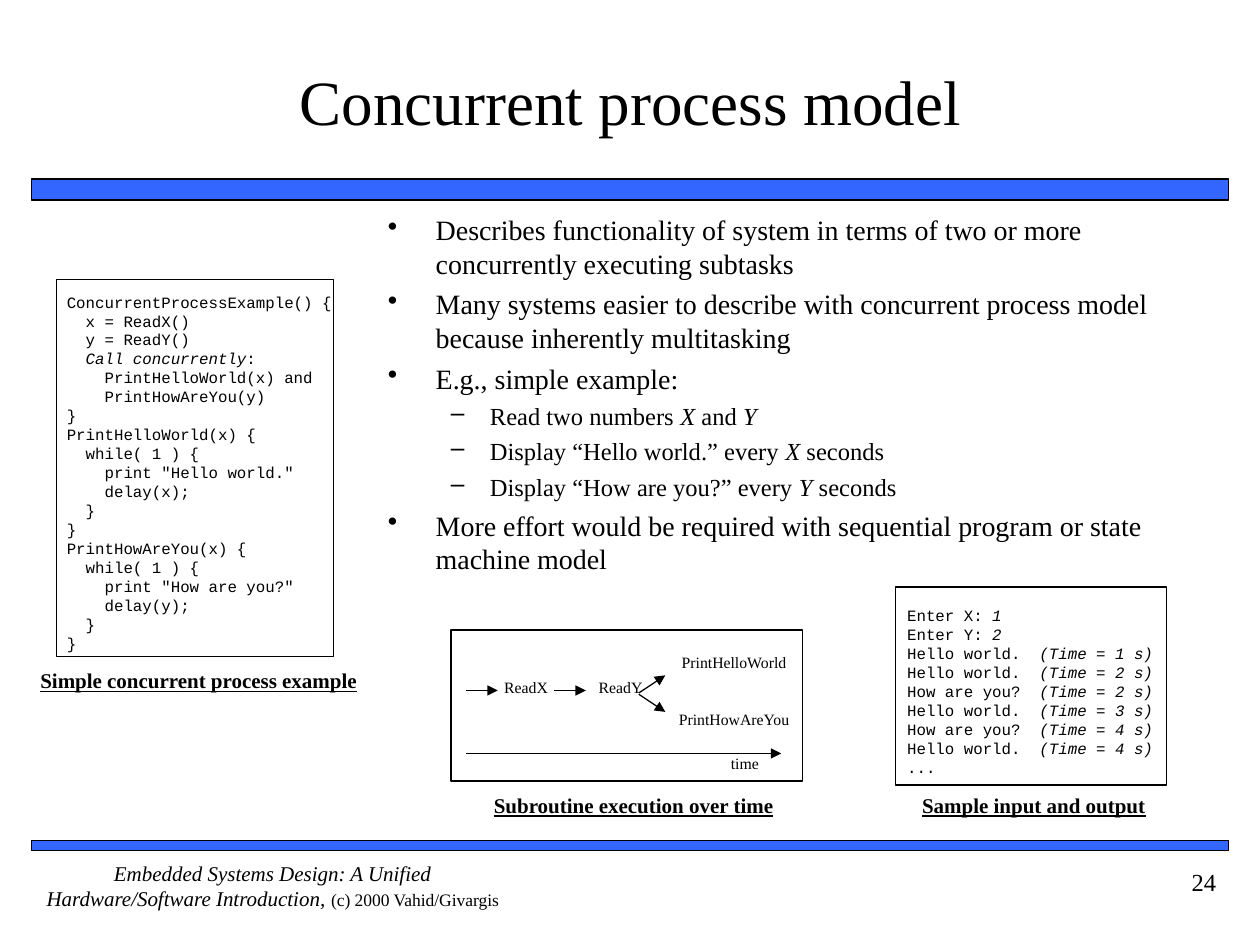
from lxml import etree
from pptx import Presentation
from pptx import util as u
from pptx.dml.color import RGBColor
from pptx.enum import shapes, text
from pptx.oxml.ns import qn

SERIF, MONO = "Times New Roman", "Courier New"
BLACK, BLUE = "000000", "3366FF"
LEFT, CENTER, RIGHT = text.PP_ALIGN.LEFT, text.PP_ALIGN.CENTER, text.PP_ALIGN.RIGHT

TITLE = "Concurrent process model"
BULLETS = [
    (0, "Describes functionality of system in terms of two or more concurrently executing subtasks"),
    (0, "Many systems easier to describe with concurrent process model because inherently multitasking"),
    (0, "E.g., simple example:"),
    (1, "Read two numbers *X* and *Y*"),
    (1, "Display “Hello world.” every *X* seconds"),
    (1, "Display “How are you?” every *Y* seconds"),
    (0, "More effort would be required with sequential program or state machine model"),
]
LEVELS = [
    {"size": 16, "bullet": "•", "margin": 0.38, "hang": 0.38, "before": 4},
    {"size": 14, "bullet": "–", "margin": 0.81, "hang": 0.31, "before": 3.5},
]
CODE = """ConcurrentProcessExample() {
  x = ReadX()
  y = ReadY()
  *Call concurrently*:
    PrintHelloWorld(x) and
    PrintHowAreYou(y)
}
PrintHelloWorld(x) {
  while( 1 ) {
    print "Hello world."
    delay(x);
  }
}
PrintHowAreYou(x) {
  while( 1 ) {
    print "How are you?"
    delay(y);
  }
}"""
SAMPLE = """Enter X: *1*
Enter Y: *2*
Hello world.  *(Time = 1 s)*
Hello world.  *(Time = 2 s)*
How are you?  *(Time = 2 s)*
Hello world.  *(Time = 3 s)*
How are you?  *(Time = 4 s)*
Hello world.  *(Time = 4 s)*
..."""
FOOTER = [("*Embedded Systems Design: A Unified Hardware/Software Introduction, *", 12),
          ("(c) 2000 Vahid/Givargis", 10)]
BARS = [(0.25, 1.42, 9.5, 0.17), (0.25, 6.67, 9.5, 0.08)]
FRAMES = [(3.58, 5, 2.79, 1.2), (0.45, 2.22, 2.2, 2.99), (7.11, 4.66, 2.15, 1.57)]
LISTINGS = [(CODE, (0.53, 2.32, 2.18, 2.73)), (SAMPLE, (7.2, 4.81, 2, 1.4))]
CAPTIONS = [
    ("Subroutine execution over time", (3.81, 6.29, 2.44, 0.25), CENTER),
    ("Simple concurrent process example", (0.32, 5.3, 2.56, 0.12), LEFT),
    ("Sample input and output", (7.3, 6.29, 1.81, 0.17), CENTER),
]
STEPS = [
    ("time", (5.8, 5.98, 0.35, 0.2), LEFT),
    ("ReadX", (3.95, 5.38, 0.45, 0.2), CENTER),
    ("ReadY", (4.7, 5.38, 0.45, 0.2), CENTER),
    ("PrintHelloWorld", (5.25, 5.18, 1.15, 0.2), CENTER),
    ("PrintHowAreYou", (5.25, 5.63, 1.15, 0.2), CENTER),
]
ARROWS = [
    (3.7, 5.98, 6.2, 5.98),
    (3.7, 5.48, 3.95, 5.48),
    (4.4, 5.48, 4.65, 5.48),
    (5.07, 5.51, 5.28, 5.65),
    (5.07, 5.5, 5.28, 5.36),
]

presentation = Presentation()
presentation.slide_width, presentation.slide_height = u.Inches(10), u.Inches(7.5)
slide = presentation.slides.add_slide(presentation.slide_layouts[6])


def inches(lengths):
    return [u.Inches(length) for length in lengths]


def color(value):
    return RGBColor.from_string(value)


def add_runs(paragraph, content, size=12, font=SERIF, bold=False, underline=False):
    for index, part in enumerate(content.split("*")):
        if part:
            run = paragraph.add_run()
            run.text = part
            run.font.size, run.font.name = u.Pt(size), font
            run.font.bold, run.font.underline = bold, underline
            run.font.italic = index % 2 == 1
            run.font.color.rgb = color(BLACK)


def add_box(place, insets=(0, 0), anchor=text.MSO_ANCHOR.TOP):
    frame = slide.shapes.add_textbox(*inches(place)).text_frame
    frame.word_wrap, frame.vertical_anchor = True, anchor
    frame.margin_left = frame.margin_right = u.Inches(insets[0])
    frame.margin_top = frame.margin_bottom = u.Inches(insets[1])
    return frame


def add_text(content, place, align=LEFT, insets=(0, 0), anchor=text.MSO_ANCHOR.TOP, **style):
    frame = add_box(place, insets, anchor)
    for index, line in enumerate(content.split("\n")):
        paragraph = frame.add_paragraph() if index else frame.paragraphs[0]
        paragraph.alignment = align
        add_runs(paragraph, line, **style)


def add_bullets(items, place):
    frame = add_box(place, (0.1, 0.05))
    for index, (level, content) in enumerate(items):
        style = LEVELS[level]
        paragraph = frame.add_paragraph() if index else frame.paragraphs[0]
        paragraph.level = level
        properties = paragraph._p.get_or_add_pPr()
        properties.set("marL", str(u.Inches(style["margin"])))
        properties.set("indent", str(-u.Inches(style["hang"])))
        etree.SubElement(properties, qn("a:buChar")).set("char", style["bullet"])
        if index:
            paragraph.space_before = u.Pt(style["before"])
        add_runs(paragraph, content, size=style["size"])


def add_rectangle(place, fill=None, width=0.75):
    shape = slide.shapes.add_shape(shapes.MSO_SHAPE.RECTANGLE, *inches(place))
    shape.shadow.inherit = False
    if fill:
        shape.fill.solid()
        shape.fill.fore_color.rgb = color(fill)
    else:
        shape.fill.background()
    shape.line.color.rgb, shape.line.width = color(BLACK), u.Pt(width)


def add_arrow(ends):
    arrow = slide.shapes.add_connector(shapes.MSO_CONNECTOR.STRAIGHT, *inches(ends))
    arrow.line.color.rgb, arrow.line.width = color(BLACK), u.Pt(0.75)
    etree.SubElement(arrow.line._get_or_add_ln(), qn("a:tailEnd")).set("type", "triangle")
    etree.SubElement(arrow._element.spPr, qn("a:effectLst"))


for bar in BARS:
    add_rectangle(bar, fill=BLUE, width=1)
add_text(TITLE, (0.42, 0.17, 9.17, 1.25), CENTER, (0, 0.05), text.MSO_ANCHOR.MIDDLE, size=36)
add_bullets(BULLETS, (2.98, 1.64, 6.52, 3.04))
for content, place, align in CAPTIONS:
    add_text(content, place, align, bold=True, underline=True)
for content, place, align in STEPS:
    add_text(content, place, align, size=9)
for content, place in LISTINGS:
    add_text(content, place, size=9, font=MONO)
for ends in ARROWS:
    add_arrow(ends)
for place in FRAMES:
    add_rectangle(place)

footer = add_box((0.25, 6.83, 3.83, 0.5)).paragraphs[0]
footer.alignment = CENTER
for content, size in FOOTER:
    add_runs(footer, content, size=size)
add_text("24", (8.75, 6.83, 1, 0.5), RIGHT, (0.1, 0.05), size=14)

presentation.save("out.pptx")
